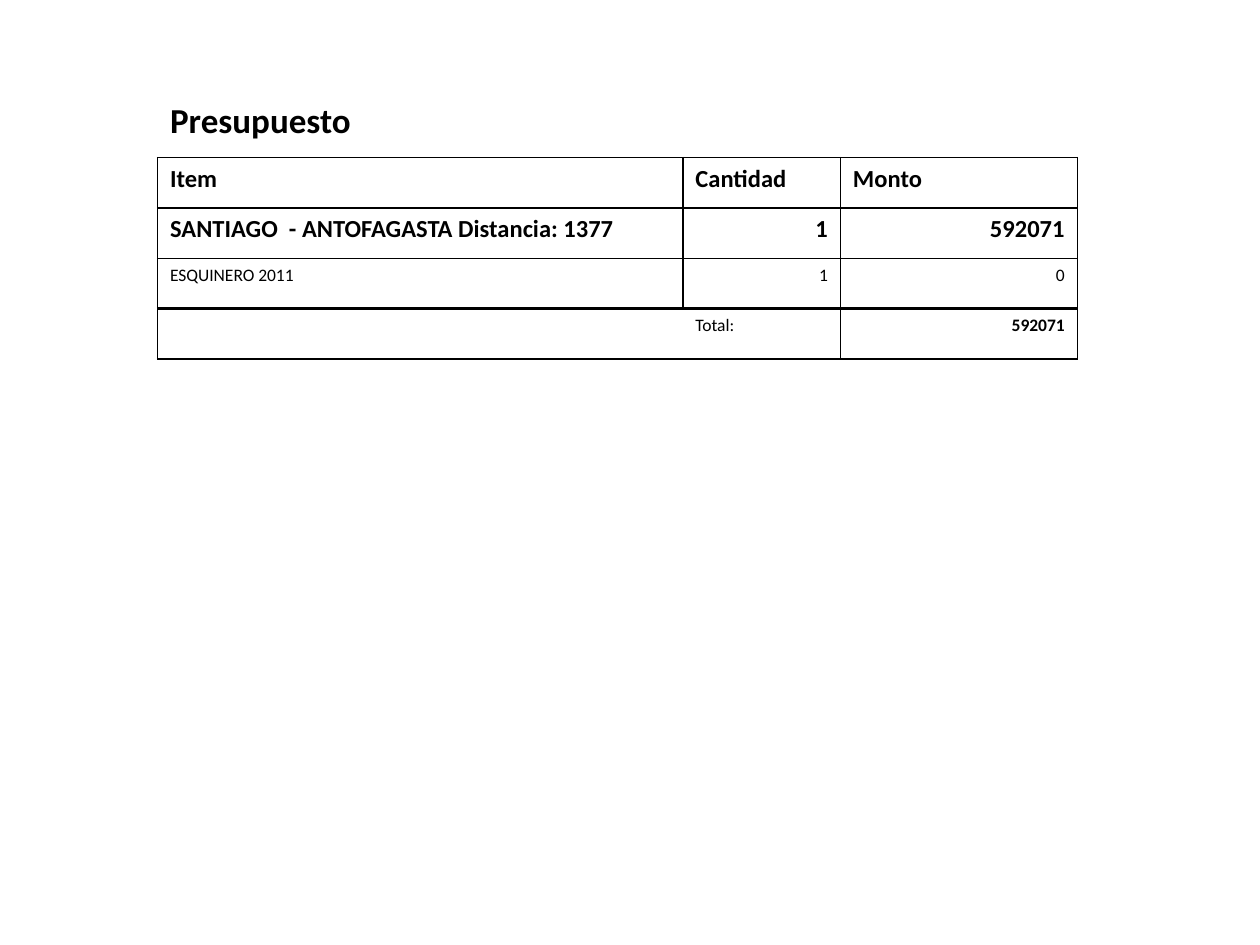
from lxml.etree import SubElement
from pptx import Presentation
from pptx.dml.color import RGBColor
from pptx.enum.text import MSO_ANCHOR, MSO_AUTO_SIZE, PP_ALIGN
from pptx.oxml.ns import qn
from pptx.util import Inches, Pt

INK, PAPER = "000000", "FFFFFF"
COLUMN_WIDTHS = (4.17, 1.25, 1.88)
ROW_HEIGHT = 0.4
HEADING = {"size": Pt(20), "bold": True}
STRONG = {"size": Pt(14), "bold": True}
PLAIN = {"size": Pt(10), "bold": False}
TOTAL = {"size": Pt(10), "bold": True}

BUDGET = (
    (("Item", STRONG), ("Cantidad", STRONG), ("Monto", STRONG)),
    (("SANTIAGO  - ANTOFAGASTA Distancia: 1377", STRONG), ("1", STRONG), ("592071", STRONG)),
    (("ESQUINERO 2011", PLAIN), ("1", PLAIN), ("0", PLAIN)),
    (("", PLAIN), ("Total:", PLAIN), ("592071", TOTAL)),
)


def color(hex_string):
    return RGBColor.from_string(hex_string)


def write(paragraph, text, style, align=PP_ALIGN.LEFT):
    paragraph.alignment = align
    font = paragraph.font
    if text:
        run = paragraph.add_run()
        run.text = text
        font = run.font
    for attribute, value in {"name": "Calibri", **style}.items():
        setattr(font, attribute, value)
    font.color.rgb = color(INK)


def set_borders(cell, widths):
    """Draw the left, right, top and bottom borders; a width of 0 hides one."""
    properties = cell._tc.get_or_add_tcPr()
    for position, (side, width) in enumerate(zip("LRTB", widths)):
        line = SubElement(properties, qn(f"a:ln{side}"), w=str(Pt(width)))
        if width:
            fill = SubElement(line, qn("a:solidFill"))
            SubElement(fill, qn("a:srgbClr"), val=INK)
        else:
            SubElement(line, qn("a:noFill"))
        properties.insert(position, line)


def place_title(slide, left, top, width, height):
    title = slide.shapes.title
    title.left, title.top, title.width, title.height = map(Inches, (left, top, width, height))
    frame = title.text_frame
    frame.word_wrap = True
    frame.auto_size = MSO_AUTO_SIZE.SHAPE_TO_FIT_TEXT
    frame.vertical_anchor = MSO_ANCHOR.TOP
    write(frame.paragraphs[0], "Presupuesto", HEADING)


def place_budget(slide, left, top):
    last = len(BUDGET) - 1
    box = map(Inches, (left, top, sum(COLUMN_WIDTHS), ROW_HEIGHT * len(BUDGET)))
    table = slide.shapes.add_table(len(BUDGET), len(COLUMN_WIDTHS), *box).table
    table.first_row = table.horz_banding = False
    for column, width in zip(table.columns, COLUMN_WIDTHS):
        column.width = Inches(width)
    for r, entries in enumerate(BUDGET):
        table.rows[r].height = Inches(ROW_HEIGHT)
        for c, (text, style) in enumerate(entries):
            cell = table.cell(r, c)
            align = PP_ALIGN.RIGHT if text.isdigit() else PP_ALIGN.LEFT
            write(cell.text_frame.paragraphs[0], text, style, align)
            if r == last:
                cell.fill.background()
            else:
                cell.fill.solid()
                cell.fill.fore_color.rgb = color(PAPER)
            open_left = r == last and c == 1
            open_right = r == last and c == 0
            bottom = 2 if r == last - 1 else 1
            set_borders(cell, (int(not open_left), int(not open_right), 1, bottom))


def main():
    deck = Presentation()
    deck.slide_width, deck.slide_height = Inches(10), Inches(7.5)
    slide = deck.slides.add_slide(deck.slide_layouts.get_by_name("Title Only"))
    place_title(slide, 1.25, 0.73, 6.25, 3.12)
    place_budget(slide, 1.25, 1.25)
    deck.save("out.pptx")


if __name__ == "__main__":
    main()
